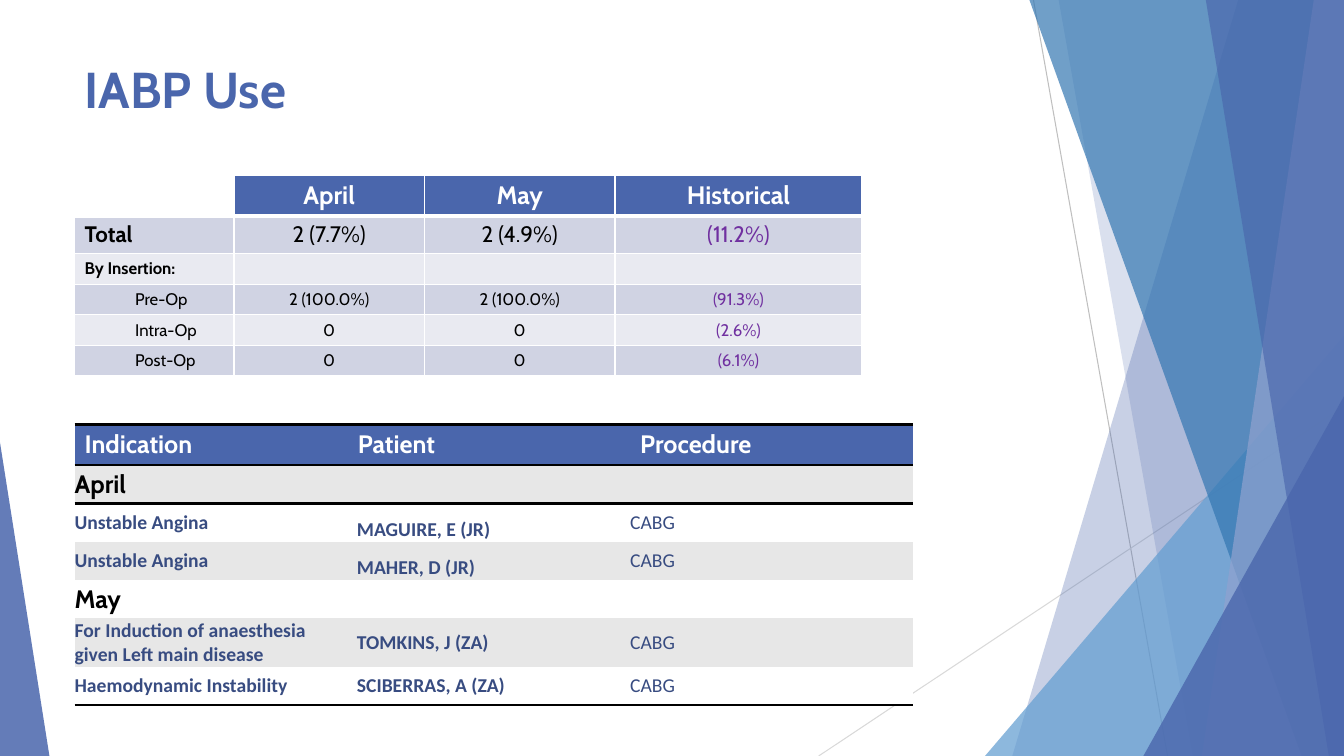
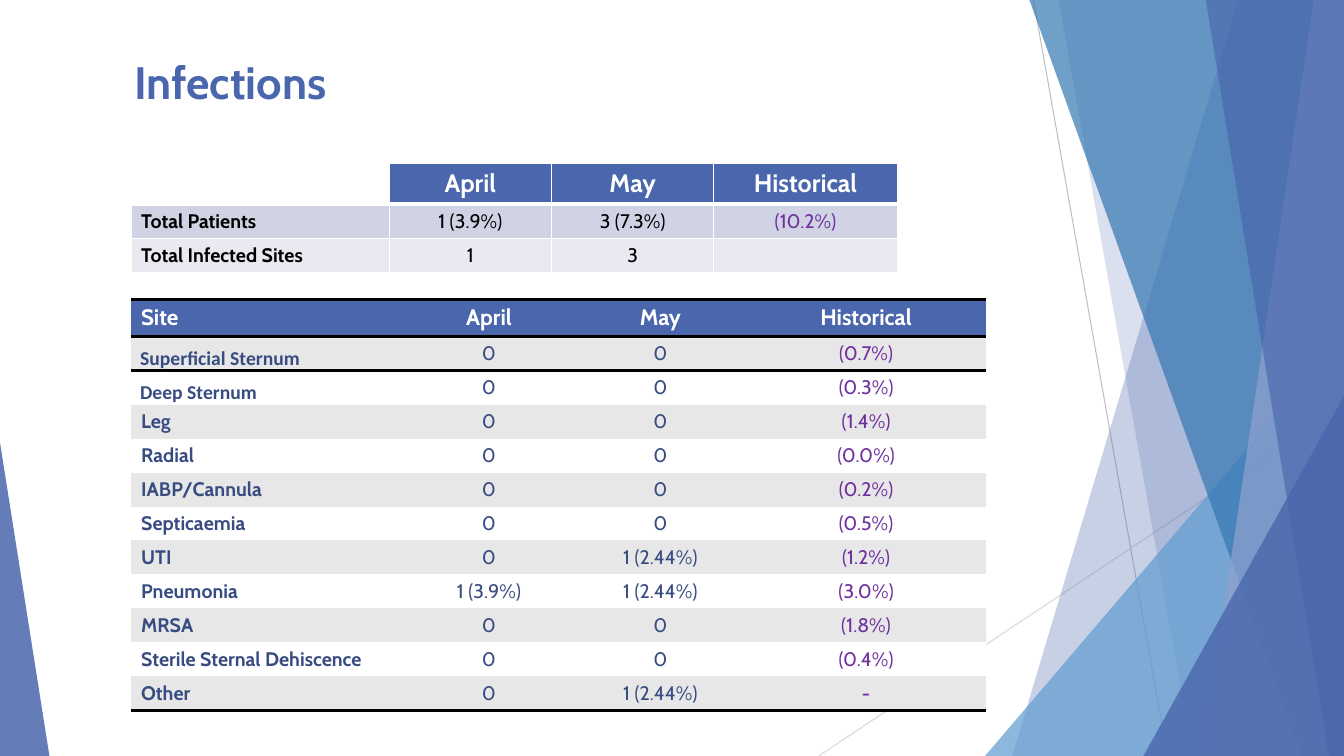
from lxml import etree
from pptx import Presentation
from pptx.dml.color import RGBColor
from pptx.enum import shapes, text
from pptx.oxml.ns import qn
from pptx.util import Inches, Pt

# Shared style
BLUE, NAVY, PURPLE = "4A66AC", "384C81", "7030A0"
BLACK, WHITE = "000000", "FFFFFF"
SUMMARY_BANDS = ("D0D3E3", "E9EAF1")
DETAIL_BANDS = ("E7E7E7", WHITE)
FONT, BODY_FONT = "Cabin", "Calibri"
WIDTH, HEIGHT = 13.33, 7.5
NO_GRID_STYLE = "{2D5ABB26-0587-4C30-8999-92F81FD0307C}"
TIGHT, INSET = (0, 0), (0.09, 0)  # left margin, other margins
LEFT, CENTER = text.PP_ALIGN.LEFT, text.PP_ALIGN.CENTER
MIDDLE, BOTTOM, TOP = text.MSO_ANCHOR.MIDDLE, text.MSO_ANCHOR.BOTTOM, text.MSO_ANCHOR.TOP

# Backdrop, back to front
RULES = [(10.25, 0, 11.58, 7.5, "BFBFBF"), (13.33, 4.03, 8.12, 7.5, "D9D9D9")]
FACETS = [  # band: top x, bottom x; triangle: left, top, width, apex
    ("band", (12.28, 10.04), BLUE, 30),
    ("band", (10.5, 11.83), BLUE, 20),
    ("triangle", (9.77, 3.33, 3.56, 1), "629DD1", 72),
    ("band", (10.21, 12.91), "3477B2", 70),
    ("band", (13.03, 11.92), "90A2CF", 70),
    ("band", (11.96, 13.18), BLUE, 65),
    ("triangle", (11.34, 3.93, 1.99, 1), BLUE, 80),
    ("triangle", (0, 4.39, 0.49, 0), BLUE, 85),
]

# Content: IABP Use
IABP_SUMMARY = [
    ("", "April", "May", "Historical"),
    ("Total", "2 (7.7%)", "2 (4.9%)", "(11.2%)"),
    ("By Insertion:", "", "", ""),
    ("Pre-Op", "2 (100.0%)", "2 (100.0%)", "(91.3%)"),
    ("Intra-Op", "0", "0", "(2.6%)"),
    ("Post-Op", "0", "0", "(6.1%)"),
]
IABP_PATIENTS = [
    ("Indication", "Patient", "Procedure"),
    ("April",),
    ("Unstable Angina", "MAGUIRE, E (JR)", "CABG"),
    ("Unstable Angina", "MAHER, D (JR)", "CABG"),
    ("May",),
    ("For Induction of anaesthesia given Left main disease", "TOMKINS, J (ZA)", "CABG"),
    ("Haemodynamic Instability", "SCIBERRAS, A (ZA)", "CABG"),
]

# Content: Infections
INFECTION_SUMMARY = [
    ("", "April", "May", "Historical"),
    ("Total Patients", "1 (3.9%)", "3 (7.3%)", "(10.2%)"),
    ("Total Infected Sites", "1", "3", ""),
]
INFECTION_SITES = [
    ("Site", "April", "May", "Historical"),
    ("Superficial Sternum", "0", "0", "(0.7%)"),
    ("Deep Sternum", "0", "0", "(0.3%)"),
    ("Leg", "0", "0", "(1.4%)"),
    ("Radial", "0", "0", "(0.0%)"),
    ("IABP/Cannula", "0", "0", "(0.2%)"),
    ("Septicaemia", "0", "0", "(0.5%)"),
    ("UTI", "0", "1 (2.44%)", "(1.2%)"),
    ("Pneumonia", "1 (3.9%)", "1 (2.44%)", "(3.0%)"),
    ("MRSA", "0", "0", "(1.8%)"),
    ("Sterile Sternal Dehiscence", "0", "0", "(0.4%)"),
    ("Other", "0", "1 (2.44%)", "-"),
]


def rgb(value):
    return RGBColor.from_string(value)


def style_runs(p, size, color, bold=False, font=FONT):
    for r in p.runs:
        r.font.size, r.font.bold, r.font.name = Pt(size), bold, font
        r.font.color.rgb = rgb(color)


# Backdrop
def add_rule(slide, x1, y1, x2, y2, color):
    line = slide.shapes.add_connector(
        shapes.MSO_CONNECTOR.STRAIGHT, Inches(x1), Inches(y1), Inches(x2), Inches(y2))
    line.line.color.rgb, line.line.width = rgb(color), Pt(0.75)
    etree.SubElement(line._element.spPr, qn("a:effectLst"))
    return line


def add_facet(slide, kind, place, color, opacity):
    if kind == "band":
        top_x, bottom_x = place
        builder = slide.shapes.build_freeform(Inches(top_x), 0)
        corners = [(WIDTH, 0), (WIDTH, HEIGHT), (bottom_x, HEIGHT)]
        builder.add_line_segments([(Inches(x), Inches(y)) for x, y in corners], close=True)
        sp = builder.convert_to_shape()
    else:
        left, top, width, apex = place
        sp = slide.shapes.add_shape(
            shapes.MSO_SHAPE.ISOSCELES_TRIANGLE,
            Inches(left), Inches(top), Inches(width), Inches(HEIGHT - top))
        sp.adjustments[0] = apex
    sp.shadow.inherit = False
    sp.line.fill.background()
    sp.fill.solid()
    sp.fill.fore_color.rgb = rgb(color)
    fill_color = sp._element.spPr.find(".//" + qn("a:srgbClr"))
    etree.SubElement(fill_color, qn("a:alpha"), val=str(opacity * 1000))
    return sp


def move_backdrop_to_layout(slide, layout):
    """Draw the backdrop once and let every slide inherit it."""
    parts = [add_rule(slide, *rule) for rule in RULES]
    parts += [add_facet(slide, *facet) for facet in FACETS]
    for number, part in enumerate(parts, 101):
        part._element.xpath(".//p:cNvPr")[0].set("id", str(number))
        layout.shapes._spTree.append(part._element)


# Slides and tables
def add_title(slide, title, left, top, height, size):
    sp = slide.shapes.title
    sp.left, sp.top, sp.width, sp.height = (Inches(v) for v in (left, top, 9.4, height))
    tf = sp.text_frame
    tf.text = title
    tf.vertical_anchor, tf.word_wrap = MIDDLE, True
    tf.paragraphs[0].alignment = LEFT
    style_runs(tf.paragraphs[0], size, BLUE, True)


def add_grid(slide, left, top, cols, heights):
    frame = slide.shapes.add_table(
        len(heights), len(cols), Inches(left), Inches(top),
        Inches(sum(cols)), Inches(sum(heights)))
    table = frame.table
    table.first_row = table.horz_banding = False
    table._tbl.tblPr.find(qn("a:tableStyleId")).text = NO_GRID_STYLE
    for col, width in zip(table.columns, cols):
        col.width = Inches(width)
    for row, height in zip(table.rows, heights):
        row.height = Inches(height)
    return table


def set_borders(cell, **sides):
    """Sides are L, R, T, B in that order, each (colour, points)."""
    tc_pr = cell._tc.get_or_add_tcPr()
    for side, (color, points) in sides.items():
        ln = etree.SubElement(tc_pr, qn("a:ln" + side), w=str(Pt(points)))
        fill = etree.SubElement(ln, qn("a:solidFill"))
        etree.SubElement(fill, qn("a:srgbClr"), val=color)


def fill_cell(cell, words, fill, size, color, bold=False, font=FONT,
              align=LEFT, anchor=MIDDLE, margins=None, indent=0):
    if fill:
        cell.fill.solid()
        cell.fill.fore_color.rgb = rgb(fill)
    else:
        cell.fill.background()
    cell.vertical_anchor = anchor
    if margins:
        cell.margin_left = Inches(margins[0])
        cell.margin_right = cell.margin_top = cell.margin_bottom = Inches(margins[1])
    p = cell.text_frame.paragraphs[0]
    p.text = words
    p.alignment = align
    if indent:
        p.level = 1
        p._p.get_or_add_pPr().set("marL", str(Inches(indent)))
    if words:
        style_runs(p, size, color, bold, font)
    else:
        etree.SubElement(p._p, qn("a:endParaRPr"), sz=str(size * 100))


def add_summary(slide, rows, left, top, cols, heights, sizes, indent_from=99):
    table = add_grid(slide, left, top, cols, heights)
    thin = (WHITE, 1)
    for i, (row, size) in enumerate(zip(rows, sizes)):
        for j, words in enumerate(row):
            cell = table.cell(i, j)
            below = (WHITE, 3) if i == 0 else thin
            above = (WHITE, 3) if i == 1 else thin
            set_borders(cell, L=thin, R=thin, T=above, B=below)
            align = CENTER if j else LEFT
            if i == 0:
                fill_cell(cell, words, BLUE if j else None, size, WHITE, True, align=align)
                continue
            nested = j == 0 and i >= indent_from
            fill_cell(cell, words, SUMMARY_BANDS[(i - 1) % 2], size,
                      PURPLE if j == 3 else BLACK, j == 0 and not nested,
                      align=align, indent=0.5 if nested else 0)


def add_detail(slide, rows, left, top, cols, heights, cell_style):
    """cell_style(i, j, row) gives the keyword style of one cell."""
    table = add_grid(slide, left, top, cols, heights)
    rule = (BLACK, 2)
    for i, row in enumerate(rows):
        if len(row) == 1:
            table.cell(i, 0).merge(table.cell(i, len(cols) - 1))
        for j, words in enumerate(row):
            cell = table.cell(i, j)
            if i == 0:
                set_borders(cell, T=rule, B=rule)
            elif i == 1:
                set_borders(cell, T=rule)
            elif i == len(rows) - 1:
                set_borders(cell, B=rule)
            fill = DETAIL_BANDS[(i - 1) % 2] if i else BLUE
            fill_cell(cell, words, fill, **cell_style(i, j, row))


def patient_style(i, j, row):
    if i == 0:
        return dict(size=18, color=WHITE, bold=True)
    if len(row) == 1:
        return dict(size=18, color=BLACK, bold=True, margins=TIGHT)
    return dict(size=14, color=NAVY, bold=j < 2, font=BODY_FONT,
                margins=INSET if j == 1 else TIGHT,
                anchor=BOTTOM if j == 1 and i < 4 else MIDDLE)


def site_style(i, j, row):
    align = CENTER if j else LEFT
    if i == 0:
        return dict(size=16, color=WHITE, bold=True, align=align, anchor=TOP)
    if j == 0 and i <= 2:
        return dict(size=14, color=NAVY, bold=True, font=BODY_FONT,
                    anchor=BOTTOM, margins=INSET)
    return dict(size=14, color=PURPLE if j == 3 else NAVY,
                bold=j == 0 or row[j] == "-", align=align, anchor=TOP)


def main():
    prs = Presentation()
    prs.slide_width, prs.slide_height = Inches(WIDTH), Inches(HEIGHT)
    layout = prs.slide_layouts[5]

    # IABP Use
    s = prs.slides.add_slide(layout)
    move_backdrop_to_layout(s, layout)
    add_title(s, "IABP Use", 0.74, 0.52, 0.71, 36)
    add_summary(s, IABP_SUMMARY, 0.74, 1.74, [1.58, 1.89, 1.89, 2.45],
                [0.4, 0.37] + [0.3] * 4, [18, 16] + [12] * 4, indent_from=3)
    add_detail(s, IABP_PATIENTS, 0.74, 4.21, [2.71, 2.8, 2.81],
               [0.4] + [0.38] * 4 + [0.48, 0.38], patient_style)

    # Infections
    s = prs.slides.add_slide(layout)
    add_title(s, "Infections", 1.23, 0.47, 0.67, 32.4)
    add_summary(s, INFECTION_SUMMARY, 1.3, 1.62, [2.56, 1.61, 1.61, 1.82],
                [0.4, 0.33, 0.33], [18, 14, 14])
    add_detail(s, INFECTION_SITES, 1.3, 2.97, [2.7, 1.7, 1.7, 2.38],
               [0.37] + [0.33] * 11, site_style)

    prs.save("out.pptx")


if __name__ == "__main__":
    main()
